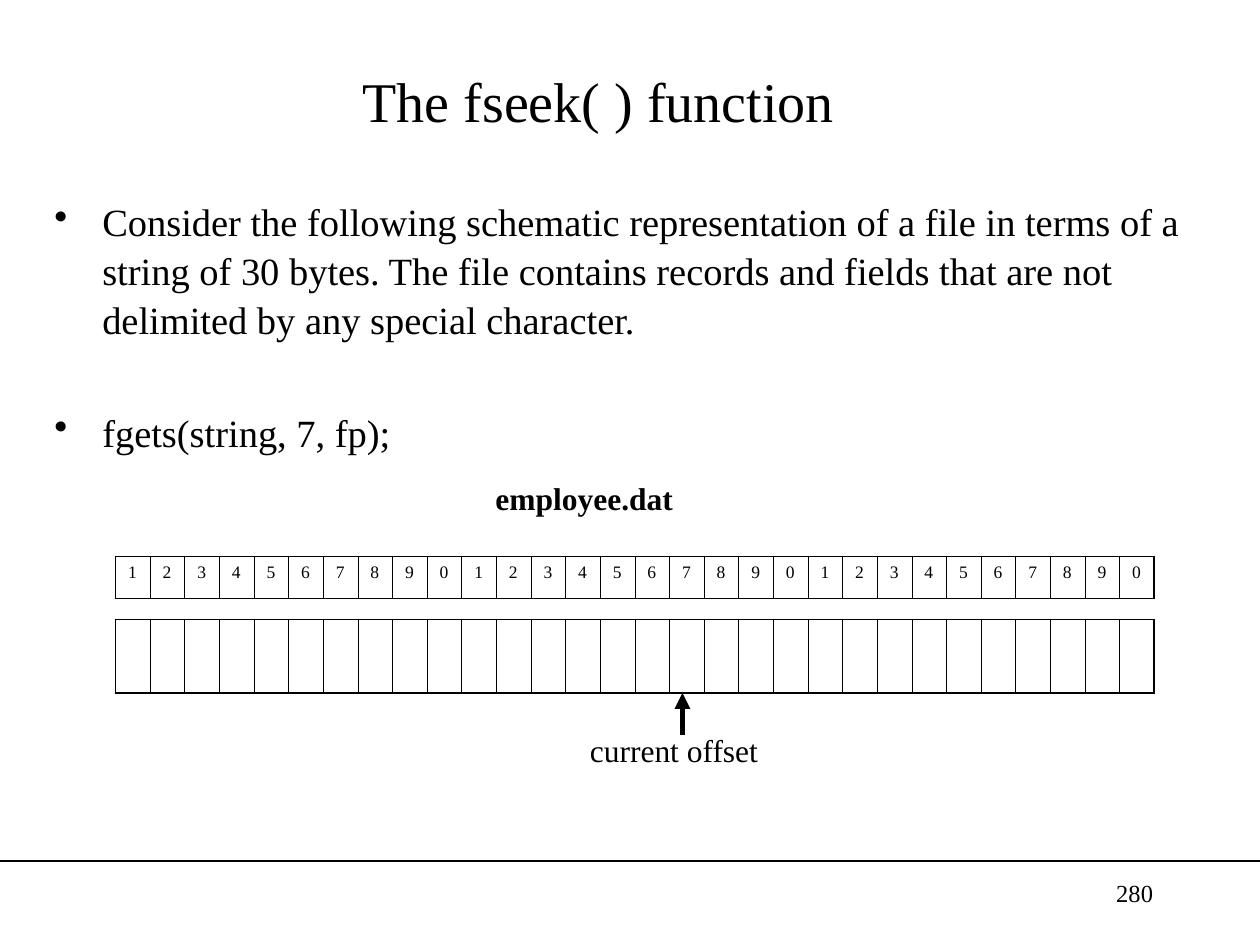
"""Build the slide that explains fseek() with a 30-byte file diagram."""
from dataclasses import dataclass

from lxml import etree
from pptx import Presentation
from pptx.dml.color import RGBColor
from pptx.enum.shapes import MSO_CONNECTOR
from pptx.enum.text import MSO_ANCHOR, PP_ALIGN
from pptx.oxml.ns import qn
from pptx.util import Inches, Pt

STRAIGHT = MSO_CONNECTOR.STRAIGHT
TOP, MIDDLE = MSO_ANCHOR.TOP, MSO_ANCHOR.MIDDLE
LEFT, CENTER, RIGHT = PP_ALIGN.LEFT, PP_ALIGN.CENTER, PP_ALIGN.RIGHT


@dataclass(frozen=True)
class Theme:
    font: str = "Times New Roman"
    ink: str = "000000"
    title: float = 32
    body: float = 22
    label: float = 18
    page: float = 14
    digit: float = 10
    outer_border: float = 1.08
    inner_border: float = 0.45


theme = Theme()
INK = RGBColor.from_string(theme.ink)
COLUMNS, ROWS = 120, 90
BYTES = 30

presentation = Presentation()
presentation.slide_width, presentation.slide_height = Inches(10), Inches(7.5)
column = presentation.slide_width // COLUMNS
row = presentation.slide_height // ROWS


def grid(left, top, width, height):
    """Turn columns and rows into lengths."""
    return [round(left * column), round(top * row), round(width * column), round(height * row)]


def write_text(frame, text, size, bold=False, align=LEFT, anchor=TOP,
               bullet=None, gap=0, spacing=None):
    """Write each line of text as one formatted paragraph."""
    frame.word_wrap = True
    frame.vertical_anchor = anchor
    for index, line in enumerate(text.split("\n")):
        paragraph = frame.add_paragraph() if index else frame.paragraphs[0]
        paragraph.alignment = align
        paragraph.space_before = Pt(gap if index else 0)
        if spacing:
            paragraph.line_spacing = spacing
        if bullet:
            properties = paragraph._p.get_or_add_pPr()
            properties.set("marL", str(Inches(0.38)))
            properties.set("indent", str(Inches(-0.38)))
            etree.SubElement(properties, qn("a:buChar"), char=bullet)
        run = paragraph.add_run()
        run.text = line
        run.font.name, run.font.size, run.font.bold = theme.font, Pt(size), bold
        run.font.color.rgb = INK


slide = presentation.slides.add_slide(presentation.slide_layouts[5])

title = slide.shapes.title
title.left, title.top, title.width, title.height = grid(6, 3, 102, 13)
write_text(title.text_frame, "The fseek( ) function", theme.title, align=CENTER, anchor=MIDDLE)

body = (
    "Consider the following schematic representation of a file in terms of a string of "
    "30 bytes. The file contains records and fields that are not delimited by any special "
    "character.\nfgets(string, 7, fp);"
)
texts = [
    ((4, 18, 111, 36), body, {"size": theme.body, "bullet": "•", "gap": 36.5, "spacing": 1.06}),
    ((46, 45, 21, 4.8), "employee.dat", {"size": theme.label, "bold": True}),
    ((55, 69, 21, 4.8), "current offset", {"size": theme.label}),
    ((86, 83, 25, 6), "280", {"size": theme.page, "align": RIGHT}),
]
for place, text, style in texts:
    box = slide.shapes.add_textbox(*grid(*place))
    write_text(box.text_frame, text, **style)

positions = [str(number % 10) for number in range(1, BYTES + 1)]
for top, height, values in [(53, 4, positions), (59, 7, [""] * BYTES)]:
    table = slide.shapes.add_table(1, BYTES, *grid(11, top, 99, height)).table
    table.first_row = table.horz_banding = False
    for index, value in enumerate(values):
        cell = table.cell(0, index)
        if value:
            write_text(cell.text_frame, value, theme.digit)
        outer_sides = {"T", "B"}
        if index == 0:
            outer_sides.add("L")
        if index == BYTES - 1:
            outer_sides.add("R")
        cell_properties = cell._tc.get_or_add_tcPr()
        for side in "LRTB":
            width = theme.outer_border if side in outer_sides else theme.inner_border
            border = etree.SubElement(cell_properties, qn(f"a:ln{side}"), w=str(Pt(width)))
            fill = etree.SubElement(border, qn("a:solidFill"))
            etree.SubElement(fill, qn("a:srgbClr"), val=theme.ink)
        cell.fill.background()

for start, end, width, arrow in [
    ((0, 82), (COLUMNS, 82), 0.75, False),
    ((65, 70), (65, 66), 3, True),
]:
    line = slide.shapes.add_connector(STRAIGHT, *grid(*start, *end))
    line.line.color.rgb, line.line.width = INK, Pt(width)
    if arrow:
        etree.SubElement(line.line._get_or_add_ln(), qn("a:tailEnd"), type="triangle")
    etree.SubElement(line._element.spPr, qn("a:effectLst"))

presentation.save("out.pptx")
